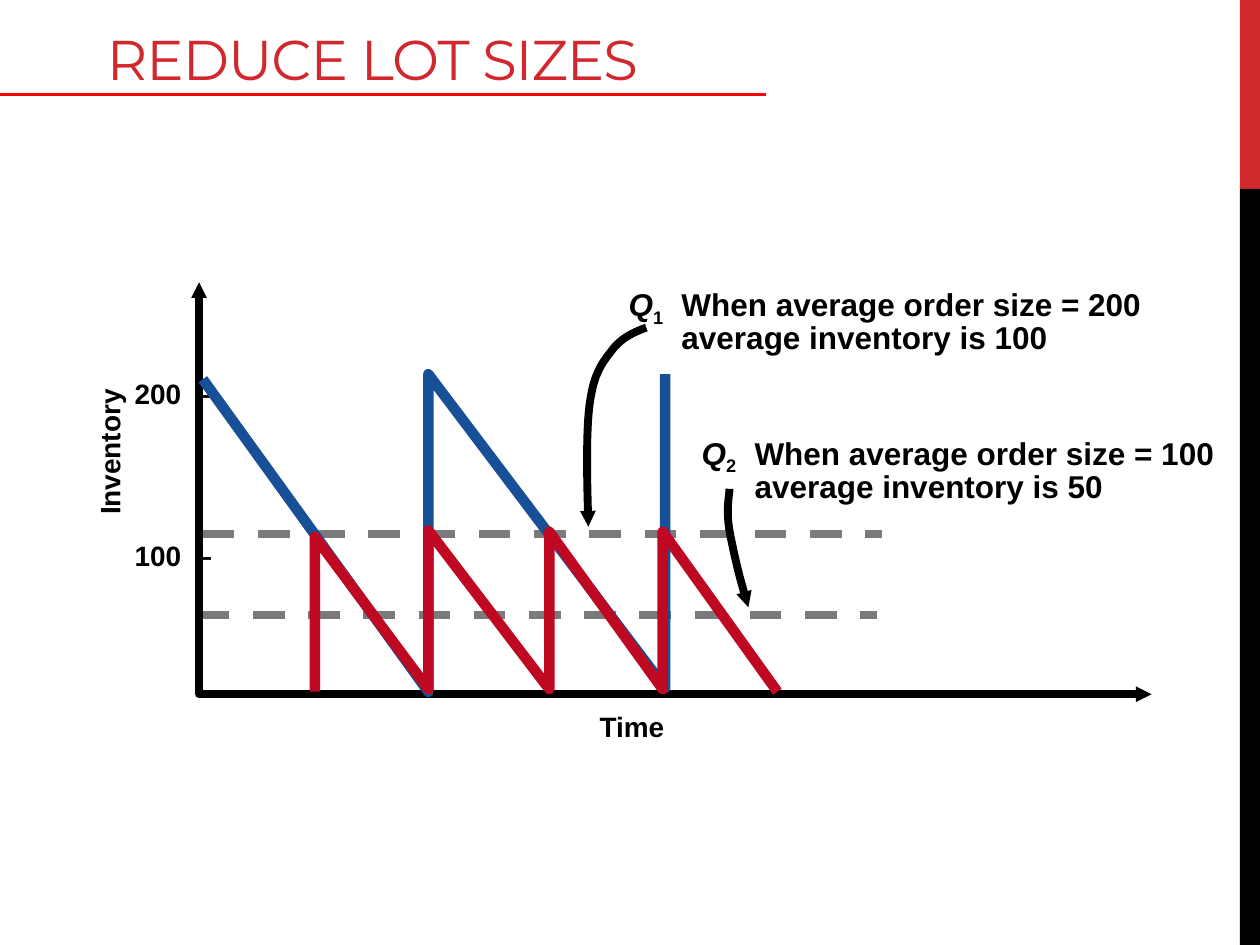
from dataclasses import dataclass

from lxml import etree
from pptx import Presentation
from pptx.dml.color import RGBColor
from pptx.enum.dml import MSO_LINE
from pptx.enum.shapes import MSO_CONNECTOR, MSO_SHAPE
from pptx.enum.text import MSO_ANCHOR
from pptx.oxml.ns import qn
from pptx.util import Inches, Pt

RED = RGBColor(0xD1, 0x28, 0x2E)
RULE_RED = RGBColor(0xFF, 0x00, 0x00)
BLACK = RGBColor(0x00, 0x00, 0x00)
GRAY = RGBColor(0x7A, 0x7A, 0x7A)
BLUE = RGBColor(0x17, 0x50, 0x97)
CRIMSON = RGBColor(0xBF, 0x09, 0x22)
STRAIGHT = MSO_CONNECTOR.STRAIGHT
RECTANGLE = MSO_SHAPE.RECTANGLE
DASH = MSO_LINE.DASH
BOTTOM = MSO_ANCHOR.BOTTOM

Point = tuple[float, float]


@dataclass(frozen=True)
class Label:
    lines: tuple[str, ...]
    left: float
    top: float
    width: float
    height: float
    rotation: float = 0
    line_spacing: float = 1.0
    tab: float = 0


@dataclass(frozen=True)
class Callout:
    subscript: str
    order_size: int
    left: float
    top: float
    arrow: tuple[Point, ...]


LABELS = (
    Label(("200\t–", "100\t–"), 0.97, 1.91, 0.82, 2.69, line_spacing=4.85, tab=0.49),
    Label(("Inventory",), 0.27, 3.4, 1.2, 0.37, rotation=270),
    Label(("Time",), 4.66, 5.58, 0.72, 0.37),
)
CALLOUTS = (
    Callout("2", 100, 5.47, 3.41,
            ((5.79, 3.88), (5.79, 3.95), (5.75, 4.06), (5.81, 4.31),
             (5.86, 4.56), (5.91, 4.71), (5.94, 4.82))),
    Callout("1", 200, 4.89, 2.23,
            ((5.13, 2.6), (5.02, 2.64), (4.92, 2.69), (4.85, 2.79),
             (4.77, 2.89), (4.71, 2.98), (4.68, 3.21),
             (4.65, 3.44), (4.66, 3.81), (4.67, 4.18))),
)
AXES = ((1.58, 2.24), (1.58, 5.51), (9.14, 5.51))
LARGE_LOTS = ((1.61, 3.01), (3.4, 5.49), (3.4, 2.97), (5.28, 5.46), (5.28, 2.97))
SMALL_LOTS = ((2.5, 5.49), (2.5, 4.26), (3.4, 5.47), (3.4, 4.21), (4.36, 5.47),
              (4.36, 4.22), (5.26, 5.47), (5.26, 4.22), (6.17, 5.49))


def add_bar(slide, top: float, height: float, color: RGBColor) -> None:
    shape = slide.shapes.add_shape(
        RECTANGLE, Inches(9.84), Inches(top), Inches(0.16), Inches(height))
    shape.shadow.inherit = False
    shape.fill.solid()
    shape.fill.fore_color.rgb = color
    shape.line.fill.background()


def add_level(slide, left: float, right: float, y: float, color: RGBColor, weight: float):
    """Draw a horizontal line and return it."""
    line = slide.shapes.add_connector(
        STRAIGHT, Inches(left), Inches(y), Inches(right), Inches(y))
    line.line.color.rgb = color
    line.line.width = Pt(weight)
    etree.SubElement(line._element.spPr, qn("a:effectLst"))
    return line


def add_path(slide, points, color: RGBColor, weight: float, arrows=()) -> None:
    """Draw an open path; arrows names the ends, headEnd before tailEnd."""
    start, *rest = [(Inches(x), Inches(y)) for x, y in points]
    builder = slide.shapes.build_freeform(*start)
    builder.add_line_segments(rest, close=False)
    shape = builder.convert_to_shape()
    shape.shadow.inherit = False
    shape.fill.background()
    shape.line.color.rgb = color
    shape.line.width = Pt(weight)
    outline = shape.line._get_or_add_ln()
    etree.SubElement(outline, qn("a:round"))
    for end in arrows:
        etree.SubElement(outline, qn(f"a:{end}"), type="triangle", w="sm", len="sm")


def curve_points(controls: tuple[Point, ...], steps: int = 12) -> list[Point]:
    """Sample a chain of cubic Bezier curves."""
    points = [controls[0]]
    for first in range(0, len(controls) - 1, 3):
        segment = controls[first:first + 4]
        for step in range(1, steps + 1):
            t = step / steps
            weights = ((1 - t) ** 3, 3 * t * (1 - t) ** 2, 3 * t * t * (1 - t), t ** 3)
            points.append(tuple(
                sum(weight * point[axis] for weight, point in zip(weights, segment))
                for axis in (0, 1)))
    return points


def add_text_frame(slide, left: float, top: float, width: float, height: float,
                   rotation: float = 0, wrap: bool = True):
    box = slide.shapes.add_textbox(
        Inches(left), Inches(top), Inches(width), Inches(height))
    box.rotation = rotation
    box.text_frame.word_wrap = wrap
    return box.text_frame


def set_font(paragraph, size: float, name: str = "Arial",
             color: RGBColor = BLACK, bold: bool = True) -> None:
    font = paragraph.font
    font.size = Pt(size)
    font.name = name
    font.bold = bold
    font.color.rgb = color


def add_title(slide, text: str) -> None:
    frame = add_text_frame(slide, 0.75, -0.25, 8.5, 1.03)
    frame.vertical_anchor = BOTTOM
    paragraph = frame.paragraphs[0]
    run = paragraph.add_run()
    run.text = text
    run._r.get_or_add_rPr().set("spc", "-60")
    set_font(paragraph, 32, "Montserrat", RED, bold=False)


def add_label(slide, label: Label) -> None:
    frame = add_text_frame(slide, label.left, label.top, label.width, label.height,
                           label.rotation, wrap=False)
    frame.text = "\n".join(label.lines)
    for paragraph in frame.paragraphs:
        paragraph.line_spacing = label.line_spacing
        if label.tab:
            tabs = etree.SubElement(paragraph._p.get_or_add_pPr(), qn("a:tabLst"))
            etree.SubElement(tabs, qn("a:tab"), pos=str(Inches(label.tab)), algn="l")
        set_font(paragraph, 16)


def add_callout(slide, callout: Callout) -> None:
    frame = add_text_frame(slide, callout.left, callout.top, 4.4, 0.61)
    first, second = frame.paragraphs[0], frame.add_paragraph()
    symbol, subscript, condition = (first.add_run() for _ in range(3))
    symbol.text = "Q"
    symbol.font.italic = True
    subscript.text = callout.subscript
    subscript._r.get_or_add_rPr().set("baseline", "-25000")
    condition.text = f"\tWhen average order size = {callout.order_size}"
    second.text = f"average inventory is {callout.order_size // 2}"
    indent = Inches(0.42)
    for paragraph, first_line in ((first, -indent), (second, 0)):
        paragraph.line_spacing = 0.85
        properties = paragraph._p.get_or_add_pPr()
        properties.set("marL", str(indent))
        properties.set("indent", str(first_line))
        set_font(paragraph, 18)
    add_path(slide, curve_points(callout.arrow), BLACK, 4.5, ("tailEnd",))


def main() -> None:
    presentation = Presentation()
    presentation.slide_width = Inches(10)
    presentation.slide_height = Inches(7.5)
    slide = presentation.slides.add_slide(presentation.slide_layouts[6])

    add_bar(slide, 0, 1.5, RED)
    add_bar(slide, 1.5, 6, BLACK)
    add_level(slide, 0, 6.08, 0.75, RULE_RED, 2.25)
    add_title(slide, "REDUCE LOT SIZES")

    for left, y in ((1.61, 4.24), (1.57, 4.88)):
        average = add_level(slide, left, left + 5.39, y, GRAY, 4.5)
        average.line.dash_style = DASH
    add_path(slide, AXES, BLACK, 4.5, ("headEnd", "tailEnd"))
    for label in LABELS:
        add_label(slide, label)
    for callout in CALLOUTS:
        add_callout(slide, callout)
    add_path(slide, LARGE_LOTS, BLUE, 6)
    add_path(slide, SMALL_LOTS, CRIMSON, 6)

    presentation.save("out.pptx")


if __name__ == "__main__":
    main()
